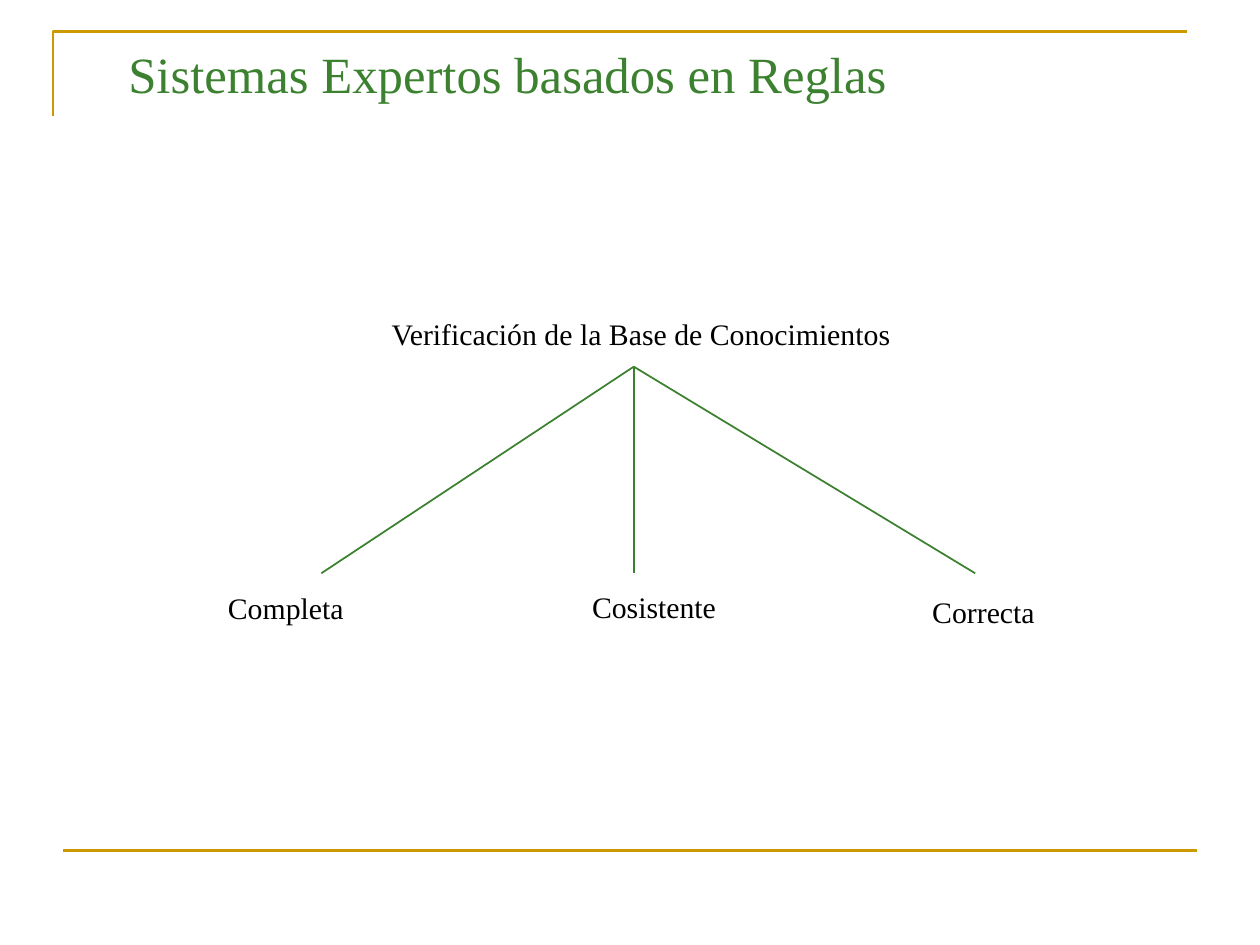
from pptx import Presentation
from pptx.dml.color import RGBColor
from pptx.enum.shapes import MSO_CONNECTOR as Link
from pptx.enum.text import MSO_ANCHOR as Anchor
from pptx.oxml.ns import qn
from pptx.util import Inches, Pt
from lxml.etree import SubElement

GOLD = RGBColor(0xCC, 0x99, 0x00)
GREEN = RGBColor(0x3B, 0x81, 0x2F)
BLACK = RGBColor(0, 0, 0)
FONT = "Times New Roman"


def add_line(slide, start, end, color, width):
    """Draw a straight line between two points in inches."""
    ends = [Inches(v) for v in (*start, *end)]
    line = slide.shapes.add_connector(Link.STRAIGHT, *ends)
    line.line.color.rgb = color
    line.line.width = Pt(width)
    SubElement(line._element.spPr, qn("a:effectLst"))


def add_text(slide, box, words, size, color, wrap=False, anchor=Anchor.TOP):
    """Place one run of text in a box given in inches."""
    frame = slide.shapes.add_textbox(*[Inches(v) for v in box]).text_frame
    frame.word_wrap = wrap
    frame.vertical_anchor = anchor
    run = frame.paragraphs[0].add_run()
    run.text = words
    run.font.name = FONT
    run.font.size = Pt(size)
    run.font.color.rgb = color


def add_frame(slide, left, top, width, height):
    """Draw the gold corner above and the gold rule below."""
    pen = slide.shapes.build_freeform(
        Inches(left), Inches(top + 0.67), scale=1.0)
    pen.add_line_segments(
        [(Inches(left), Inches(top)), (Inches(left + width), Inches(top))],
        close=False)
    corner = pen.convert_to_shape()
    corner.shadow.inherit = False
    corner.fill.background()
    corner.line.color.rgb = GOLD
    corner.line.width = Pt(1.5)
    base = top + height
    add_line(slide, (left + 0.08, base), (left + 0.08 + width, base), GOLD, 1.5)


def add_title(slide, left, top, width, height):
    """Write the slide title."""
    add_text(slide, (left, top, width, height),
             "Sistemas Expertos basados en Reglas", 29, GREEN,
             wrap=True, anchor=Anchor.MIDDLE)


def add_tree(slide, left, top, width, height):
    """Draw the root topic with a branch to each property."""
    add_text(slide, (left + 1.3, top, 4.2, 0.38),
             "Verificación de la Base de Conocimientos", 17, BLACK)
    root = (left + 3.32, top + 0.45)
    low = top + height - 0.49
    leaves = [
        ("Completa", 0, 0.08, 1.12, 0.84),
        ("Cosistente", 2.89, 0.07, 1.19, 3.32),
        ("Correcta", width - 1.02, 0.11, 1.02, 6.03),
    ]
    for word, shift, drop, wide, tip in leaves:
        add_text(slide, (left + shift, low + drop, wide, 0.38),
                 word, 17, BLACK)
        add_line(slide, root, (left + tip, low), GREEN, 1)


def main():
    """Build and save the slide."""
    deck = Presentation()
    deck.slide_width = Inches(10)
    deck.slide_height = Inches(7.5)
    slide = deck.slides.add_slide(deck.slide_layouts[6])
    add_frame(slide, 0.42, 0.25, 9, 6.5)
    add_title(slide, 0.92, 0.17, 8.5, 0.83)
    add_tree(slide, 1.71, 2.46, 6.61, 2.58)
    deck.save("out.pptx")


if __name__ == "__main__":
    main()
